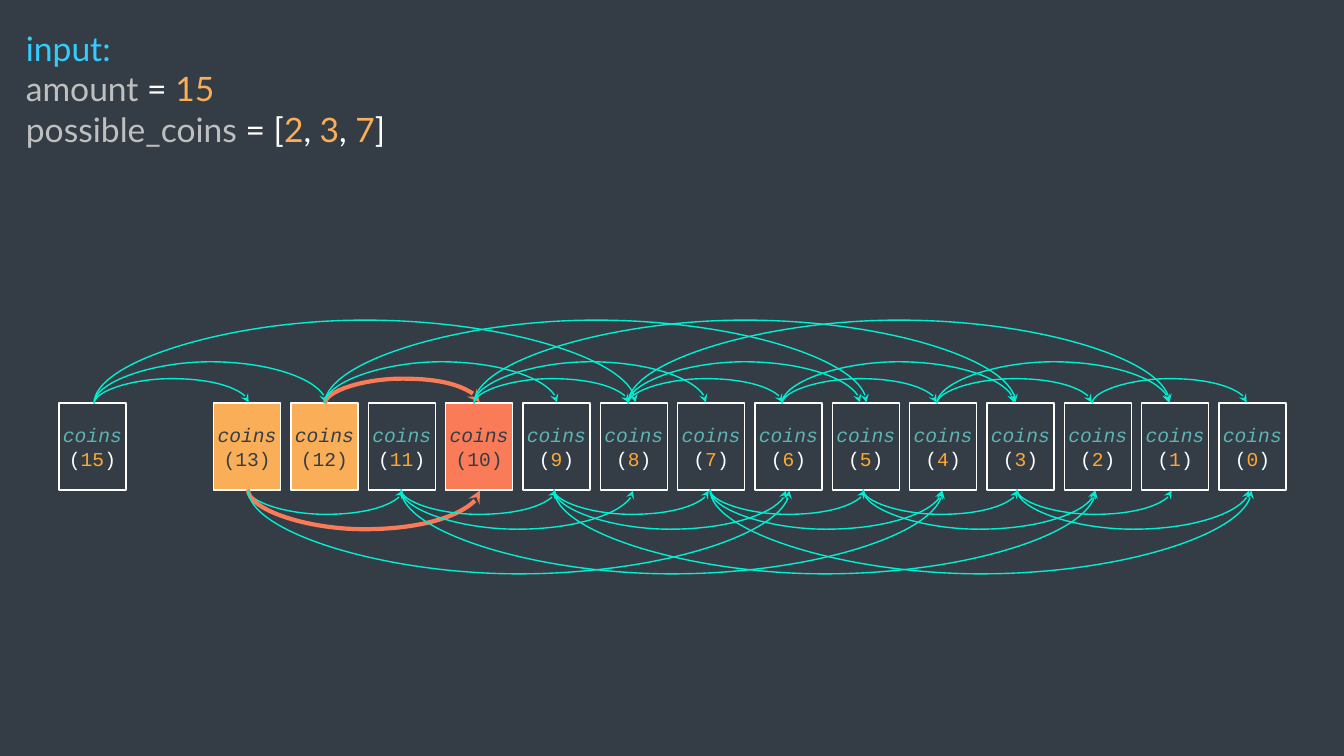
from lxml.etree import SubElement
from pptx import Presentation
from pptx.dml.color import RGBColor
from pptx.enum.shapes import MSO_CONNECTOR, MSO_SHAPE
from pptx.enum.text import MSO_ANCHOR, MSO_AUTO_SIZE, PP_ALIGN
from pptx.oxml.ns import qn
from pptx.util import Pt

# Content
COLORS = {
    "dark": "343D46", "white": "FFFFFF", "gray": "BFBFBF", "blue": "33CCFF",
    "amber": "F9AE57", "orange": "FEA832", "coral": "F97B57",
    "teal": "5EB4B4", "mint": "00EFD1",
}
INPUT_LINES = [
    [("input:", "blue")],
    [("amount", "gray"), (" = ", "white"), ("15", "amber")],
    [("possible_coins", "gray"), (" = [", "white"), ("2", "amber"), (", ", "white"),
     ("3", "amber"), (", ", "white"), ("7", "amber"), ("]", "white")],
]
AMOUNTS = [15, *range(13, -1, -1)]
FILLED_BOXES = {13: "amber", 12: "amber", 10: "coral"}
POSSIBLE_COINS = [2, 3, 7]
HIGHLIGHTED_ARCS = {(12, 2), (13, 3)}
# Amount each group of arcs leaves from, and its starting x
STARTS_ABOVE = {15: 94, 12: 325, 10: 474, 8: 628, 6: 782, 4: 937, 2: 1092}
STARTS_BELOW = {13: 248, 11: 401, 9: 554, 7: 710, 5: 863, 3: 1017}

# Layout in px
SCALE = 12192000 / 1344
BOX_WIDTH, BOX_HEIGHT, BOX_TOP = 67, 87, 403
FIRST_LEFT, LAST_LEFT = 59, 1219
PITCH = (LAST_LEFT - FIRST_LEFT) / AMOUNTS[0]
RISE_ABOVE = {2: 25, 3: 42, 7: 84}
RISE_BELOW = {2: 25, 3: 40, 7: 85}


def px(length):
    return round(length * SCALE)


def color(name):
    return RGBColor.from_string(COLORS[name])


def add_span(para, text, color_name, font_name, size, italic=False):
    span = para.add_run()
    span.text = text
    span.font.name = font_name
    span.font.size = Pt(size)
    span.font.italic = italic
    span.font.color.rgb = color(color_name)


def add_input(page):
    box = page.shapes.add_textbox(px(16), px(23), px(438), px(132))
    frame = box.text_frame
    frame.word_wrap = True
    frame.auto_size = MSO_AUTO_SIZE.SHAPE_TO_FIT_TEXT
    for index, line in enumerate(INPUT_LINES):
        para = frame.add_paragraph() if index else frame.paragraphs[0]
        for text, color_name in line:
            add_span(para, text, color_name, "Lato", 24)


def add_coins_box(page, amount):
    left = FIRST_LEFT + (AMOUNTS[0] - amount) * PITCH
    box = page.shapes.add_shape(MSO_SHAPE.RECTANGLE, px(left), px(BOX_TOP),
                                px(BOX_WIDTH), px(BOX_HEIGHT))
    box.shadow.inherit = False
    box.fill.solid()
    box.fill.fore_color.rgb = color(FILLED_BOXES.get(amount, "dark"))
    box.line.color.rgb = color("white")
    box.line.width = Pt(1)

    frame = box.text_frame
    frame.word_wrap = True
    frame.vertical_anchor = MSO_ANCHOR.MIDDLE
    frame.margin_left = frame.margin_right = frame.margin_top = frame.margin_bottom = 0
    if amount in FILLED_BOXES:
        name_color, call = "dark", [(f"({amount})", "dark")]
    else:
        name_color = "teal"
        call = [("(", "white"), (str(amount), "orange"), (")", "white")]
    name_para, call_para = frame.paragraphs[0], frame.add_paragraph()
    name_para.alignment = call_para.alignment = PP_ALIGN.CENTER
    add_span(name_para, "coins", name_color, "Courier New", 14, italic=True)
    for text, color_name in call:
        add_span(call_para, text, color_name, "Courier New", 14)


def add_arc(page, start_x, edge_y, coin, rise, above, highlighted):
    # A curve one px wide and one span tall, turned on its side
    span = coin * PITCH
    middle_x = start_x + span / 2
    half = span / 2 if above else -span / 2
    arc = page.shapes.add_connector(
        MSO_CONNECTOR.CURVE, px(middle_x + 0.5), px(edge_y + half),
        px(middle_x - 0.5), px(edge_y - half))
    arc.line.color.rgb = color("coral" if highlighted else "mint")
    arc.line.width = Pt(3 if highlighted else 1)

    properties = arc._element.spPr
    turn = 90 if above else 270
    properties.find(qn("a:xfrm")).set("rot", str(turn * 60000))
    geometry = properties.find(qn("a:prstGeom"))
    adjustments = geometry.find(qn("a:avLst"))
    if adjustments is None:
        adjustments = SubElement(geometry, qn("a:avLst"))
    SubElement(adjustments, qn("a:gd"), name="adj1", fmla=f"val {rise * 100000}")
    SubElement(properties.find(qn("a:ln")), qn("a:tailEnd"), type="stealth")
    SubElement(properties, qn("a:effectLst"))


def add_arcs(page, starts, edge_y, rises, above):
    for amount, start_x in starts.items():
        for coin in POSSIBLE_COINS:
            if coin <= amount:
                add_arc(page, start_x, edge_y, coin, rises[coin], above,
                        (amount, coin) in HIGHLIGHTED_ARCS)


def main():
    deck = Presentation()
    deck.slide_width, deck.slide_height = px(1344), px(756)
    page = deck.slides.add_slide(deck.slide_layouts[6])
    page.background.fill.solid()
    page.background.fill.fore_color.rgb = color("dark")

    add_input(page)
    for amount in AMOUNTS:
        add_coins_box(page, amount)
    add_arcs(page, STARTS_ABOVE, BOX_TOP, RISE_ABOVE, above=True)
    add_arcs(page, STARTS_BELOW, BOX_TOP + BOX_HEIGHT, RISE_BELOW, above=False)
    deck.save("out.pptx")


if __name__ == "__main__":
    main()
